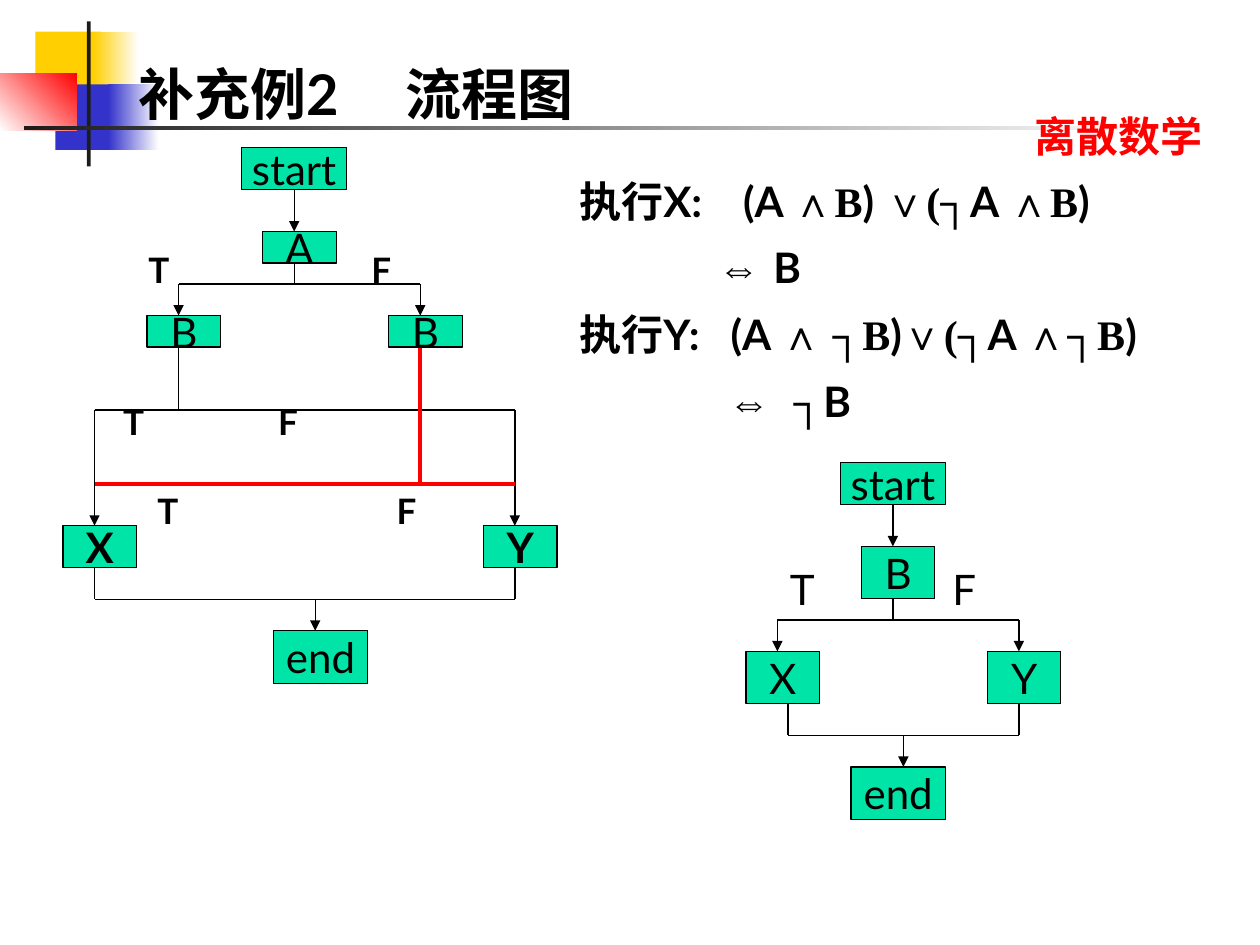
from dataclasses import dataclass

from lxml import etree
from pptx import Presentation
from pptx.dml.color import RGBColor
from pptx.enum import shapes as kinds, text as txt
from pptx.oxml import ns
from pptx.util import Inches, Pt


@dataclass(frozen=True)
class Theme:
    ink: str = "000000"
    red: str = "FF0000"
    gold: str = "FFCF01"
    blue: str = "3333CC"
    rule: str = "1C1C1C"
    node: str = "00E4A8"
    white: str = "FFFFFF"
    head: int = 32
    body: int = 24
    note: int = 20
    sans: str = "Lato"
    serif: str = "Times New Roman"
    sign: str = "Arial"


T = Theme()


def add_run(para, words, size=T.body, color=T.ink, bold=True, name=T.sans):
    run = para.add_run()
    run.text = words
    for key, value in {"name": name, "size": Pt(size), "bold": bold}.items():
        setattr(run.font, key, value)
    run.font.color.rgb = RGBColor.from_string(color)
    etree.SubElement(run.font._element, ns.qn("a:ea"), typeface=name)


def add_tabs(para, stops):
    props = para._p.get_or_add_pPr()
    tabs = etree.SubElement(props, ns.qn("a:tabLst"))
    for stop in stops:
        etree.SubElement(tabs, ns.qn("a:tab"), pos=str(Inches(stop)), algn="l")


def text_box(slide, box, rows, **style):
    """Each row holds its runs, tab stops and paragraph format."""
    frame = slide.shapes.add_textbox(*map(Inches, box)).text_frame
    frame.word_wrap = True
    for i, (runs, stops, form) in enumerate(rows):
        para = frame.add_paragraph() if i else frame.paragraphs[0]
        for key, value in form.items():
            setattr(para, key, value)
        if stops:
            add_tabs(para, stops)
        for words, extra in runs:
            add_run(para, words, **{**style, **extra})


def block(shapes, box, colors, angle=0):
    """Plain rectangle, with a gradient when two colours are given."""
    rect = shapes.add_shape(kinds.MSO_SHAPE.RECTANGLE, *box)
    rect.shadow.inherit = False
    rect.line.fill.background()
    if len(colors) == 1:
        rect.fill.solid()
        rect.fill.fore_color.rgb = RGBColor.from_string(colors[0])
    else:
        rect.fill.gradient()
        rect.fill.gradient_angle = angle
        for stop, color in zip(rect.fill.gradient_stops, colors):
            stop.color.rgb = RGBColor.from_string(color)
    return rect


def backdrop(slide):
    for box, colors, angle in (
        ((0.28, 0.25, 0.52, 0.52), [T.gold], 0),
        ((0.74, 0.25, 0.36, 0.52), [T.gold, T.white], 0),
        ((0.44, 0.67, 0.46, 0.52), [T.blue], 0),
        ((0.86, 0.67, 0.4, 0.52), [T.blue, T.white], 0),
        ((0, 0.58, 0.61, 0.46), [T.white, T.red], 45),
        ((0.69, 0.17, 0.03, 1.15), [T.rule], 0),
        ((0.19, 1, 9, 0.03), [T.rule, T.white], 0),
    ):
        block(slide.shapes, map(Inches, box), colors, angle)


class Flow:
    """Flow chart drawn on a square grid inside a box."""

    def __init__(self, slide, box, cols):
        self.shapes = slide.shapes.add_group_shape().shapes
        self.left, self.top, self.step = box[0], box[1], box[2] / cols

    def spot(self, x, y):
        return Inches(self.left + x * self.step), Inches(self.top + y * self.step)

    def node(self, words, x, y, w, h, bold=False):
        size = (Inches(w * self.step), Inches(h * self.step))
        rect = block(self.shapes, (*self.spot(x, y), *size), [T.node])
        rect.line.color.rgb = RGBColor.from_string(T.ink)
        rect.line.width = Pt(0.75)
        frame = rect.text_frame
        frame.word_wrap = False
        frame.vertical_anchor = txt.MSO_ANCHOR.MIDDLE
        frame.paragraphs[0].alignment = txt.PP_ALIGN.CENTER
        add_run(frame.paragraphs[0], words, bold=bold)

    def line(self, start, end, arrow=False, color=T.ink, width=0.75):
        link = self.shapes.add_connector(
            kinds.MSO_CONNECTOR.STRAIGHT, *self.spot(*start), *self.spot(*end))
        link.line.color.rgb = RGBColor.from_string(color)
        link.line.width = Pt(width)
        if arrow:
            etree.SubElement(link.line._get_or_add_ln(), ns.qn("a:tailEnd"), type="triangle")
        etree.SubElement(link._element.spPr, ns.qn("a:effectLst"))

    def fork(self, stem, sides, top, bar, foot):
        self.line((stem, top), (stem, bar))
        self.line((sides[0], bar), (sides[1], bar))
        for x in sides:
            self.line((x, bar), (x, foot), arrow=True)

    def join(self, sides, stem, top, bar, foot):
        for x in sides:
            self.line((x, top), (x, bar))
        self.line((sides[0], bar), (sides[1], bar))
        self.line((stem, bar), (stem, foot), arrow=True)


def full_chart(slide, box):
    flow = Flow(slide, box, 47)
    flow.line((22, 4), (22, 8), arrow=True)
    flow.fork(22, (11, 34), 11, 13, 16)
    flow.fork(11, (3, 43), 19, 25, 36)
    flow.join((3, 43), 24, 40, 43, 46)
    for start, end in (((34, 19), (34, 32)), ((3, 32), (43, 32))):
        flow.line(start, end, color=T.red, width=2.25)
    for spot in (("start", 17, 0, 10, 4), ("A", 19, 8, 7, 3), ("B", 8, 16, 7, 3),
                 ("B", 31, 16, 7, 3), ("end", 20, 46, 9, 5)):
        flow.node(*spot)
    for words, x in (("X", 0), ("Y", 40)):
        flow.node(words, x, 36, 7, 4, bold=True)
    left, top = box[:2]
    marks = (((0.33, 2.1), 0), ((0.13, 1.36), 63), ((0.4, 2.3), 27))
    rows = [([("\tT\tF", {})], stops, {"space_before": Pt(gap)} if gap else {})
            for stops, gap in marks]
    text_box(slide, (left + 0.25, top + 0.75, 3.3, 2.4), rows, size=T.note)


def short_chart(slide, box):
    flow = Flow(slide, box, 30)
    flow.line((14, 4), (14, 8), arrow=True)
    flow.fork(14, (3, 26), 13, 15, 18)
    flow.join((4, 26), 15, 23, 26, 29)
    for spot in (("start", 9, 0, 10, 4), ("B", 11, 8, 7, 5), ("X", 0, 18, 7, 5),
                 ("Y", 23, 18, 7, 5), ("end", 10, 29, 9, 5)):
        flow.node(*spot)
    left, top = box[:2]
    text_box(slide, (left + 0.25, top + 0.75, 2.08, 0.5),
             [([("T\tF", {})], [1.29], {})], bold=False)


def formulas(slide, box):
    sans, serif = {}, {"name": T.serif}
    sign = {"name": T.sign, "bold": False}
    lines = (
        ([("执行X:\t(A ", sans), ("∧B", serif), (") ", sans), ("∨(┐", serif),
          ("A ", sans), ("∧B", serif), (")", sans)], [1.3]),
        ([("\t⇔\t", sign), ("B", sans)], [1.1, 1.54]),
        ([("执行Y:\t(A ", sans), ("∧ ┐B", serif), (")", sans), ("∨(┐", serif),
          ("A ", sans), ("∧┐B", serif), (")", sans)], [1.2]),
        ([("\t⇔\t", sign), ("┐", serif), ("B", sans)], [1.18, 1.7]),
    )
    rows = [(runs, stops, {"line_spacing": 0.8, **({"space_before": Pt(15)} if i else {})})
            for i, (runs, stops) in enumerate(lines)]
    text_box(slide, box, rows)


def main():
    deck = Presentation()
    deck.slide_width, deck.slide_height = Inches(10), Inches(7.5)
    slide = deck.slides.add_slide(deck.slide_layouts[6])
    backdrop(slide)
    text_box(slide, (8.11, 0.83, 1.8, 0.5), [([("离散数学", {})], [], {})], color=T.red)
    formulas(slide, (4.5, 1.42, 5.5, 2.01))
    full_chart(slide, (0.5, 1.17, 3.92, 4.25))
    short_chart(slide, (5.92, 3.67, 2.5, 2.83))
    text_box(slide, (1, 0.42, 5.08, 0.64),
             [([("补充例2\t流程图", {})], [2.12], {})], size=T.head)
    deck.save("out.pptx")


if __name__ == "__main__":
    main()
